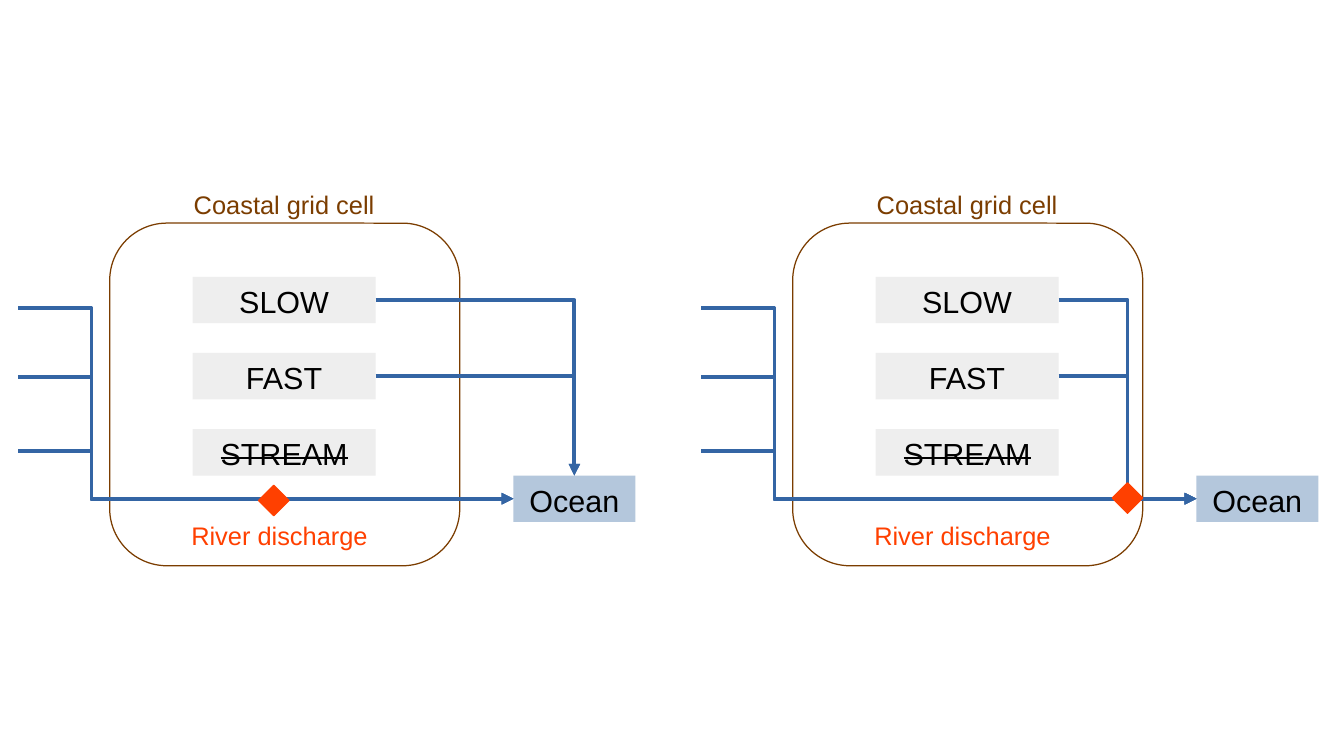
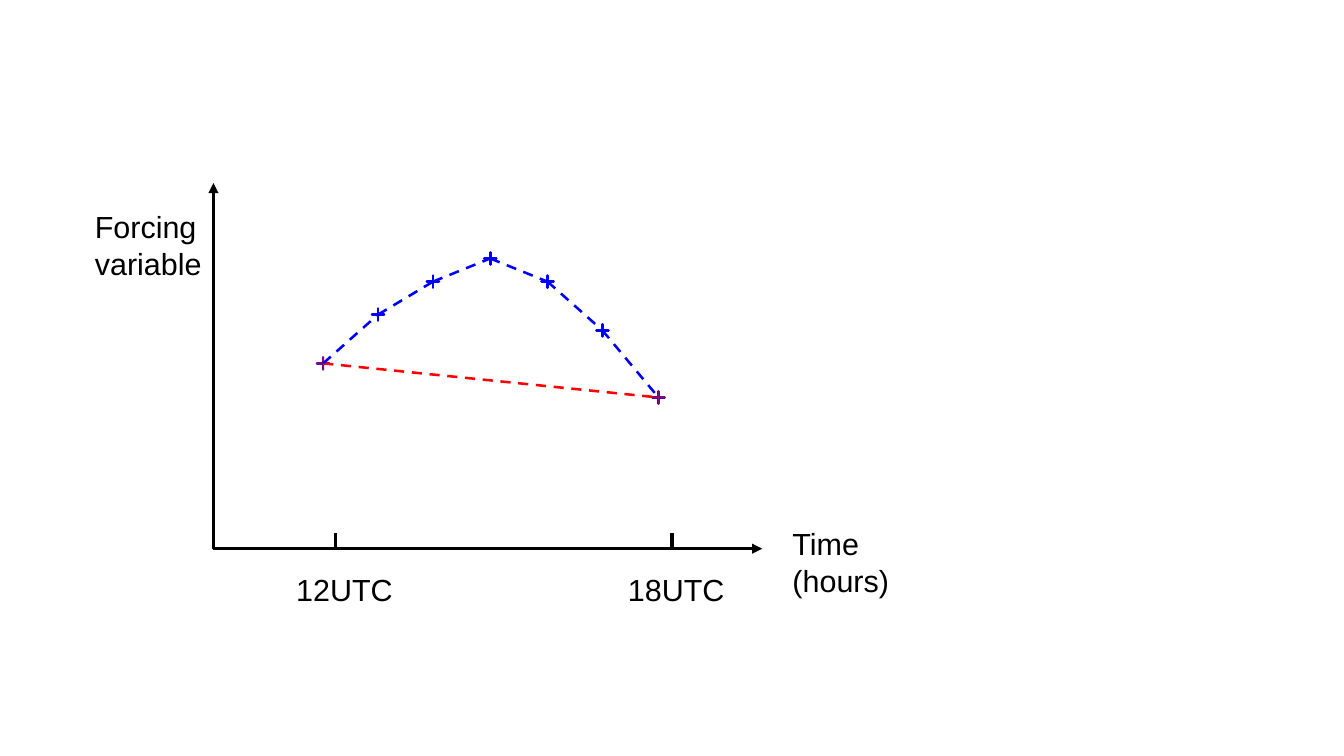
from dataclasses import dataclass
from itertools import pairwise

from pptx import Presentation
from pptx.dml.color import RGBColor
from pptx.dml.line import LineFormat
from pptx.enum.dml import MSO_LINE
from pptx.enum.shapes import MSO_CONNECTOR, MSO_SHAPE
from pptx.enum.text import MSO_ANCHOR, PP_ALIGN
from pptx.oxml.ns import qn
from pptx.shapes.autoshape import Shape
from pptx.shapes.connector import Connector
from pptx.slide import Slide
from pptx.util import Inches, Pt
from lxml.etree import SubElement

FONT = "Arial"
COLORS = {
    "black": "000000",
    "store": "EEEEEE",
    "ocean": "B4C7DC",
    "cell": "7B3D00",
    "flow": "3465A4",
    "river": "FF4000",
    "mark": "729FCF",
    "hourly": "0000FF",
    "linear": "FF0000",
}
TOP, LEFT, RIGHT = 0, 1, 3  # connection sites of a rectangle
MARK = 0.1
Point = tuple[float, float]


@dataclass(frozen=True)
class Box:
    left: float
    top: float
    width: float
    height: float

    def lengths(self) -> list[Inches]:
        return [Inches(v) for v in (self.left, self.top, self.width, self.height)]


@dataclass(frozen=True)
class Panel:
    """One coastal cell scheme; the gem marks the river discharge."""
    left: float
    gem: Point
    direct: bool  # stores drain straight into the ocean


@dataclass(frozen=True)
class Label:
    text: str
    box: Box


PANELS = [Panel(5.6, (3.52, 3.96), False), Panel(0, (2.12, 3.98), True)]
STORES = ["SLOW", "FAST", "STREAM"]
INFLOWS = [2.53, 3.09, 3.7]
LABELS = [
    Label("Time (hours)", Box(6.4, 4.26, 1.5, 0.75)),
    Label("Forcing variable", Box(0.68, 1.66, 1.5, 0.75)),
    Label("12UTC", Box(2.33, 4.63, 1.25, 1.22)),
    Label("18UTC", Box(5.05, 4.63, 1.25, 1.22)),
]
TICKS = [2.75, 5.51]
CURVE = [(2.65, 2.98), (3.1, 2.58), (3.55, 2.31), (4.02, 2.12),
         (4.49, 2.31), (4.94, 2.71), (5.4, 3.26)]


def rgb(name: str) -> RGBColor:
    return RGBColor.from_string(COLORS[name])


def ink(line: LineFormat, color: str, width: float) -> None:
    line.color.rgb = rgb(color)
    line.width = Pt(width)


def write(shape: Shape, text: str, color: str, size: float,
          align: PP_ALIGN, strike: bool = False) -> None:
    frame = shape.text_frame
    frame.word_wrap = True
    frame.vertical_anchor = MSO_ANCHOR.TOP
    para = frame.paragraphs[0]
    para.alignment = align
    para.font.name = FONT
    para.font.size = Pt(size)
    para.font.color.rgb = rgb(color)
    run = para.add_run()
    run.text = text
    if strike:
        run._r.get_or_add_rPr().set("strike", "sngStrike")


def add_text(slide: Slide, label: Label, color: str = "black", size: float = 18,
             align: PP_ALIGN = PP_ALIGN.LEFT) -> None:
    write(slide.shapes.add_textbox(*label.box.lengths()), label.text, color, size, align)


def add_form(slide: Slide, kind: MSO_SHAPE, box: Box, fill: str | None = None,
             line: str | None = None, width: float = 0) -> Shape:
    shape = slide.shapes.add_shape(kind, *box.lengths())
    shape.shadow.inherit = False
    if fill:
        shape.fill.solid()
        shape.fill.fore_color.rgb = rgb(fill)
    else:
        shape.fill.background()
    if line:
        ink(shape.line, line, width)
    else:
        shape.line.fill.background()
    return shape


def add_block(slide: Slide, label: Label, fill: str, strike: bool = False) -> Shape:
    shape = add_form(slide, MSO_SHAPE.RECTANGLE, label.box, fill)
    write(shape, label.text, "black", 18, PP_ALIGN.CENTER, strike)
    return shape


def add_line(slide: Slide, start: Point, end: Point, color: str = "black",
             width: float = 0, arrow: bool = False, dash: bool = False,
             kind: MSO_CONNECTOR = MSO_CONNECTOR.STRAIGHT) -> Connector:
    link = slide.shapes.add_connector(kind, *(Inches(v) for v in (*start, *end)))
    ink(link.line, color, width)
    if dash:
        link.line.dash_style = MSO_LINE.DASH
    if arrow:
        SubElement(link.line._get_or_add_ln(), qn("a:tailEnd"), type="triangle")
    SubElement(link._element.spPr, qn("a:effectLst"))
    return link


def add_flow(slide: Slide, start: Point, end: Point, bend: float) -> Connector:
    """Elbow arrow that turns at x = bend; a bend at the end leaves one corner."""
    link = add_line(slide, start, end, "flow", 2.3, arrow=True, kind=MSO_CONNECTOR.ELBOW)
    geom = link._element.spPr.find(qn("a:prstGeom"))
    if bend == end[0]:
        geom.set("prst", "bentConnector2")
    else:
        share = round((bend - start[0]) / (end[0] - start[0]) * 100000)
        SubElement(geom.get_or_add_avLst(), qn("a:gd"), name="adj1", fmla=f"val {share}")
    return link


def add_panel(slide: Slide, panel: Panel) -> None:
    x = panel.left
    stores = []
    for row, name in enumerate(STORES):
        box = Box(x + 1.58, 2.27 + 0.625 * row, 1.5, 0.38)
        stores.append(add_block(slide, Label(name, box), "store", name == "STREAM"))
    ocean = add_block(slide, Label("Ocean", Box(x + 4.21, 3.9, 1, 0.38)), "ocean")
    cell = add_form(slide, MSO_SHAPE.ROUNDED_RECTANGLE, Box(x + 0.9, 1.83, 2.87, 2.81),
                    line="cell")
    cell.adjustments[0] = 0.167

    mouth = (x + 4.21, 4.09)
    end = (x + 4.71, 3.9) if panel.direct else mouth
    bend = end[0] if panel.direct else x + 3.645
    for row, store in enumerate(stores[:2]):
        link = add_flow(slide, (x + 3.08, 2.46 + 0.625 * row), end, bend)
        link.begin_connect(store, RIGHT)
        link.end_connect(ocean, TOP if panel.direct else LEFT)
    for y in INFLOWS:
        add_flow(slide, (x + 0.15, y), mouth, x + 0.75).end_connect(ocean, LEFT)

    gem = Box(x + panel.gem[0], panel.gem[1], 0.25, 0.25)
    add_form(slide, MSO_SHAPE.DIAMOND, gem, "river", "river")
    add_text(slide, Label("River discharge", Box(x + 1.47, 4.22, 1.75, 0.33)), "river", 15)
    add_text(slide, Label("Coastal grid cell", Box(x + 1.08, 1.5, 2.5, 0.56)),
             "cell", 15, PP_ALIGN.CENTER)


def add_mark(slide: Slide, spot: Point, color: str, alpha: int = 100) -> None:
    box = Box(spot[0] - MARK / 2, spot[1] - MARK / 2, MARK, MARK)
    mark = add_form(slide, MSO_SHAPE.CROSS, box, "mark", color, 1.5)
    mark.adjustments[0] = 0.5
    if alpha < 100:
        tint = mark.line._get_or_add_ln().find(".//" + qn("a:srgbClr"))
        SubElement(tint, qn("a:alpha"), val=str(alpha * 1000))


def add_graph(slide: Slide) -> None:
    origin = (1.75, 4.5)
    for tip in ((6.25, 4.5), (1.75, 1.5)):
        add_line(slide, origin, tip, arrow=True)
    for label in LABELS:
        add_text(slide, label)
    for x in TICKS:
        add_line(slide, (x, 4.37), (x, 4.5))
    ends = (CURVE[0], CURVE[-1])
    for spot in CURVE:
        add_mark(slide, spot, "hourly")
    for spot in ends:
        add_mark(slide, spot, "linear", 50)
    add_line(slide, *ends, "linear", 1.5, dash=True)
    for start, end in pairwise(CURVE):
        add_line(slide, start, end, "hourly", 1.5, dash=True)


def main() -> None:
    deck = Presentation()
    deck.slide_width, deck.slide_height = Inches(11.02), Inches(6.2)
    blank = deck.slide_layouts[6]
    scheme = deck.slides.add_slide(blank)
    for panel in PANELS:
        add_panel(scheme, panel)
    add_graph(deck.slides.add_slide(blank))
    deck.save("out.pptx")


if __name__ == "__main__":
    main()
